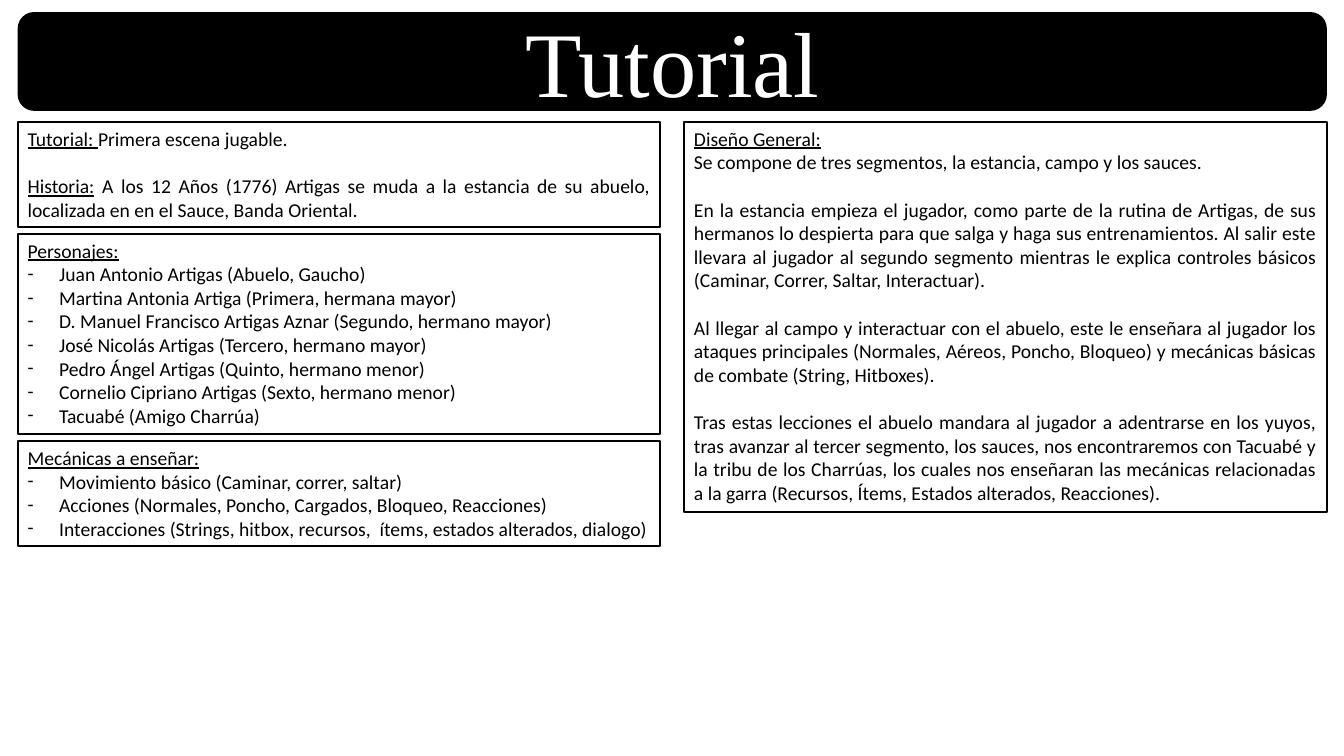
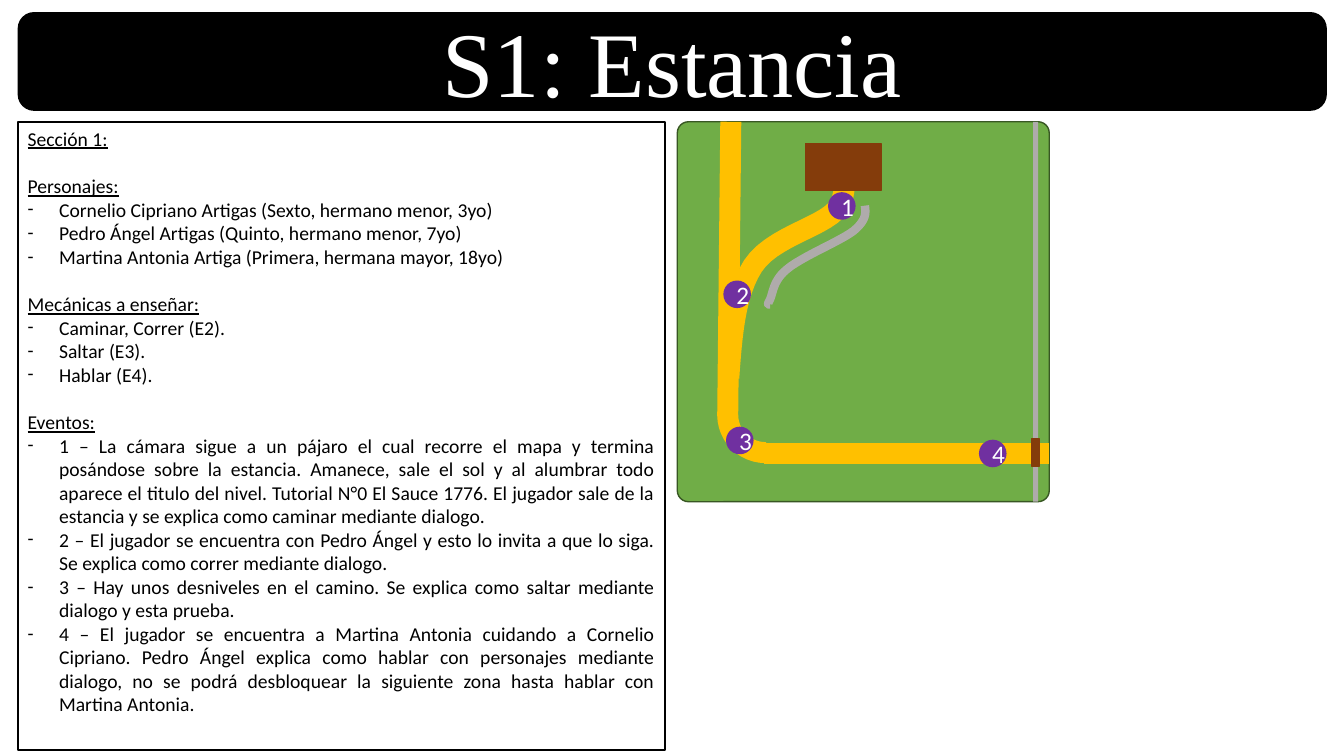
from dataclasses import dataclass

from lxml.etree import SubElement
from pptx import Presentation
from pptx.dml.color import RGBColor
from pptx.enum.shapes import MSO_CONNECTOR, MSO_SHAPE
from pptx.enum.text import MSO_ANCHOR, MSO_AUTO_SIZE, PP_ALIGN
from pptx.oxml.ns import qn
from pptx.util import Pt


@dataclass(frozen=True)
class Theme:
    black: str = "000000"
    white: str = "FFFFFF"
    grass: str = "70AD47"
    grass_edge: str = "385723"
    road: str = "FFC000"
    wood: str = "843C0B"
    fence: str = "AFABAB"
    marker: str = "7030A0"
    title_font: str = "Times New Roman"
    body_font: str = "Calibri"
    title_size: float = 66
    body_size: float = 14
    marker_size: float = 18
    line_height: float = 17
    indent: float = 22.5
    road_width: float = 15
    fence_width: float = 6


# Page grid, in points
LEFT, TOP, GAP = 12.6, 87, 5
BAND = (LEFT, 8.6, 935.2, 70.6)
TITLE = (LEFT, 0, 935.2, 87.8)  # same centre as the band, room for a full line
COLUMN_W, RIGHT_COLUMN = 459, 488.6


# Paragraph kinds: underlined text, plain text, bullet, space above
@dataclass(frozen=True)
class Para:
    text: str = ""
    head: str = ""
    bullet: bool = False
    gap: bool = False


def bullets(*texts):
    return [Para(text, bullet=True) for text in texts]


def bezier(start, curves, steps=12):
    """Points along a chain of cubic curves."""
    points = [start]
    for c1, c2, end in curves:
        p0 = points[-1]
        for i in range(1, steps + 1):
            t = i / steps
            u = 1 - t
            points.append(tuple(
                u**3 * a + 3 * u * u * t * b + 3 * u * t * t * c + t**3 * d
                for a, b, c, d in zip(p0, c1, c2, end)))
    return points


class Deck:
    def __init__(self, theme):
        self.theme = theme
        self.prs = Presentation()
        self.prs.slide_width, self.prs.slide_height = Pt(960), Pt(540)
        self.slide = None
        self.canvas = None

    def add_slide(self, title):
        """Slide with its title on a black rounded band."""
        th = self.theme
        self.slide = self.prs.slides.add_slide(self.prs.slide_layouts[5])
        self.canvas = self.slide.shapes
        sp = self.slide.shapes.title
        band = self.shape(MSO_SHAPE.ROUNDED_RECTANGLE, BAND, fill=th.black)
        sp._element.addprevious(band._element)
        sp.left, sp.top, sp.width, sp.height = map(Pt, TITLE)
        tf = sp.text_frame
        tf.auto_size = MSO_AUTO_SIZE.NONE
        tf.vertical_anchor = MSO_ANCHOR.TOP
        p = tf.paragraphs[0]
        p.alignment = PP_ALIGN.CENTER
        self.run(p, title, th.title_size, th.white, th.title_font)

    def run(self, p, text, size, color, font=None, underline=False):
        r = p.add_run()
        r.text = text
        r.font.size = Pt(size)
        r.font.name = font or self.theme.body_font
        r.font.color.rgb = RGBColor.from_string(color)
        r.font.underline = underline

    def paint(self, sp, fill=None, line=None, width=1):
        sp.shadow.inherit = False
        for part, color in ((sp.fill, fill), (sp.line.fill, line)):
            if color:
                part.solid()
                part.fore_color.rgb = RGBColor.from_string(color)
            else:
                part.background()
        if line:
            sp.line.width = Pt(width)
        return sp

    def shape(self, kind, at, fill=None, line=None, width=1):
        sp = self.canvas.add_shape(kind, *map(Pt, at))
        return self.paint(sp, fill, line, width)

    def text_box(self, left, top, width, lines, paras):
        """Outlined box tall enough for its lines; returns its bottom."""
        th = self.theme
        height = lines * th.line_height + 7
        sp = self.shape(MSO_SHAPE.RECTANGLE, (left, top, width, height),
                        th.white, th.black, 1.5)
        tf = sp.text_frame
        tf.word_wrap = True
        tf.vertical_anchor = MSO_ANCHOR.TOP
        for i, para in enumerate(paras):
            p = tf.add_paragraph() if i else tf.paragraphs[0]
            p.alignment = PP_ALIGN.JUSTIFY
            if para.gap:
                p.space_before = Pt(th.line_height)
            if para.bullet:
                pPr = p._p.get_or_add_pPr()
                pPr.set("marL", str(Pt(th.indent)))
                pPr.set("indent", str(-Pt(th.indent)))
                SubElement(pPr, qn("a:buFont"), typeface=th.body_font)
                SubElement(pPr, qn("a:buChar"), char="-")
            for text, underline in ((para.head, True), (para.text, False)):
                if text:
                    self.run(p, text, th.body_size, th.black,
                             underline=underline)
        return top + height

    def line(self, x1, y1, x2, y2, color, width):
        cx = self.canvas.add_connector(MSO_CONNECTOR.STRAIGHT,
                                       *map(Pt, (x1, y1, x2, y2)))
        cx.line.color.rgb = RGBColor.from_string(color)
        cx.line.width = Pt(width)
        SubElement(cx._element.spPr, qn("a:effectLst"))

    def curve(self, start, curves, color, width):
        points = [(Pt(x), Pt(y)) for x, y in bezier(start, curves)]
        fb = self.canvas.build_freeform(*points[0])
        fb.add_line_segments(points[1:], close=False)
        self.paint(fb.convert_to_shape(), line=color, width=width)

    def marker(self, number, left, top):
        th = self.theme
        sp = self.shape(MSO_SHAPE.OVAL, (left, top, 18.7, 18.7),
                        th.marker, th.marker)
        sp.text_frame.vertical_anchor = MSO_ANCHOR.MIDDLE
        p = sp.text_frame.paragraphs[0]
        p.alignment = PP_ALIGN.CENTER
        self.run(p, str(number), th.marker_size, th.white)


def tutorial_slide(deck):
    deck.add_slide("Tutorial")

    # Left column: stacked boxes
    stack = [
        (4, [Para("Primera escena jugable.", "Tutorial: "),
             Para(" A los 12 Años (1776) Artigas se muda a la estancia de su "
                  "abuelo, localizada en en el Sauce, Banda Oriental.",
                  "Historia:", gap=True)]),
        (8, [Para(head="Personajes:")] + bullets(
            "Juan Antonio Artigas (Abuelo, Gaucho)",
            "Martina Antonia Artiga (Primera, hermana mayor)",
            "D. Manuel Francisco Artigas Aznar (Segundo, hermano mayor)",
            "José Nicolás Artigas (Tercero, hermano mayor)",
            "Pedro Ángel Artigas (Quinto, hermano menor)",
            "Cornelio Cipriano Artigas (Sexto, hermano menor)",
            "Tacuabé (Amigo Charrúa)")),
        (4, [Para(head="Mecánicas a enseñar:")] + bullets(
            "Movimiento básico (Caminar, correr, saltar)",
            "Acciones (Normales, Poncho, Cargados, Bloqueo, Reacciones)",
            "Interacciones (Strings, hitbox, recursos,  ítems, estados "
            "alterados, dialogo)")),
    ]
    top = TOP
    for lines, paras in stack:
        top = deck.text_box(LEFT, top, COLUMN_W, lines, paras) + GAP

    # Right column: general design
    deck.text_box(RIGHT_COLUMN, TOP, COLUMN_W, 16, [
        Para(head="Diseño General:"),
        Para("Se compone de tres segmentos, la estancia, campo y los sauces."),
        Para("En la estancia empieza el jugador, como parte de la rutina de "
             "Artigas, de sus hermanos lo despierta para que salga y haga sus "
             "entrenamientos. Al salir este llevara al jugador al segundo "
             "segmento mientras le explica controles básicos (Caminar, "
             "Correr, Saltar, Interactuar).", gap=True),
        Para("Al llegar al campo y interactuar con el abuelo, este le "
             "enseñara al jugador los ataques principales (Normales, Aéreos, "
             "Poncho, Bloqueo) y mecánicas básicas de combate (String, "
             "Hitboxes).", gap=True),
        Para("Tras estas lecciones el abuelo mandara al jugador a adentrarse "
             "en los yuyos, tras avanzar al tercer segmento, los sauces, nos "
             "encontraremos con Tacuabé y la tribu de los Charrúas, los "
             "cuales nos enseñaran las mecánicas relacionadas a la garra "
             "(Recursos, Ítems, Estados alterados, Reacciones).", gap=True),
    ])


def ranch_map(deck):
    th = deck.theme
    left, width, height = 483.8, 265.7, 271.4
    right = left + width
    deck.canvas = deck.slide.shapes.add_group_shape().shapes

    # Ground
    ground = deck.shape(MSO_SHAPE.ROUNDED_RECTANGLE,
                        (left, TOP, width, height), th.grass, th.grass_edge)
    ground.adjustments[0] = 0.03

    # Roads
    deck.line(522, TOP, 519.8, 297.4, th.road, th.road_width)
    deck.curve((520.6, 270), [
        ((522.7, 239.8), (524.9, 210.2), (537.8, 190.1)),
        ((550.8, 169.9), (585.4, 162.7), (596.9, 150.5)),
        ((607.7, 139), (600.5, 116.6), (604.1, 120.2)),
    ], th.road, th.road_width)
    deck.line(545.8, 324, right, 324, th.road, th.road_width)
    bend = deck.shape(MSO_SHAPE.ARC, (519.8, 269.3, 54, 54),
                      line=th.road, width=th.road_width)
    bend.adjustments[0], bend.adjustments[1] = 54, 107.7

    # House, fences and gate
    deck.shape(MSO_SHAPE.RECTANGLE, (575.3, 102.4, 54, 33.8), th.wood, th.wood)
    deck.curve((550.1, 217.4), [
        ((548.6, 217.4), (547.9, 218.2), (550.1, 213.8)),
        ((552.2, 209.5), (552.2, 200.2), (562.3, 192.2)),
        ((572.4, 183.6), (600.5, 172.1), (609.8, 164.9)),
        ((619.2, 157), (618.5, 151.9), (617.8, 146.9)),
    ], th.fence, th.fence_width)
    deck.shape(MSO_SHAPE.RECTANGLE, (738, TOP, 3.6, height), th.fence)
    deck.shape(MSO_SHAPE.RECTANGLE, (737.3, 313.2, 5, 20.2), th.wood, th.wood)

    # Event markers
    deck.canvas = deck.slide.shapes
    spots = [(592, 137.8), (517.2, 200.9), (519.1, 305.3), (699.8, 314.6)]
    for number, spot in enumerate(spots, 1):
        deck.marker(number, *spot)


def ranch_slide(deck):
    deck.add_slide("S1: Estancia")
    deck.text_box(LEFT, TOP, 462.2, 26, [
        Para(head="Sección 1:"),
        Para(head="Personajes:", gap=True),
        *bullets("Cornelio Cipriano Artigas (Sexto, hermano menor, 3yo)",
                 "Pedro Ángel Artigas (Quinto, hermano menor, 7yo)",
                 "Martina Antonia Artiga (Primera, hermana mayor, 18yo)"),
        Para(head="Mecánicas a enseñar:", gap=True),
        *bullets("Caminar, Correr (E2).", "Saltar (E3).", "Hablar (E4)."),
        Para(head="Eventos:", gap=True),
        *bullets(
            "1 – La cámara sigue a un pájaro el cual recorre el mapa y "
            "termina posándose sobre la estancia. Amanece, sale el sol y al "
            "alumbrar todo aparece el titulo del nivel. Tutorial N°0 El Sauce "
            "1776. El jugador sale de la estancia y se explica como caminar "
            "mediante dialogo.",
            "2 – El jugador se encuentra con Pedro Ángel y esto lo invita a "
            "que lo siga. Se explica como correr mediante dialogo.",
            "3 – Hay unos desniveles en el camino. Se explica como saltar "
            "mediante dialogo y esta prueba.",
            "4 – El jugador se encuentra a Martina Antonia cuidando a "
            "Cornelio Cipriano. Pedro Ángel explica como hablar con "
            "personajes mediante dialogo, no se podrá desbloquear la "
            "siguiente zona hasta hablar con Martina Antonia."),
    ])
    ranch_map(deck)


def main():
    deck = Deck(Theme())
    tutorial_slide(deck)
    ranch_slide(deck)
    deck.prs.save("out.pptx")


if __name__ == "__main__":
    main()
